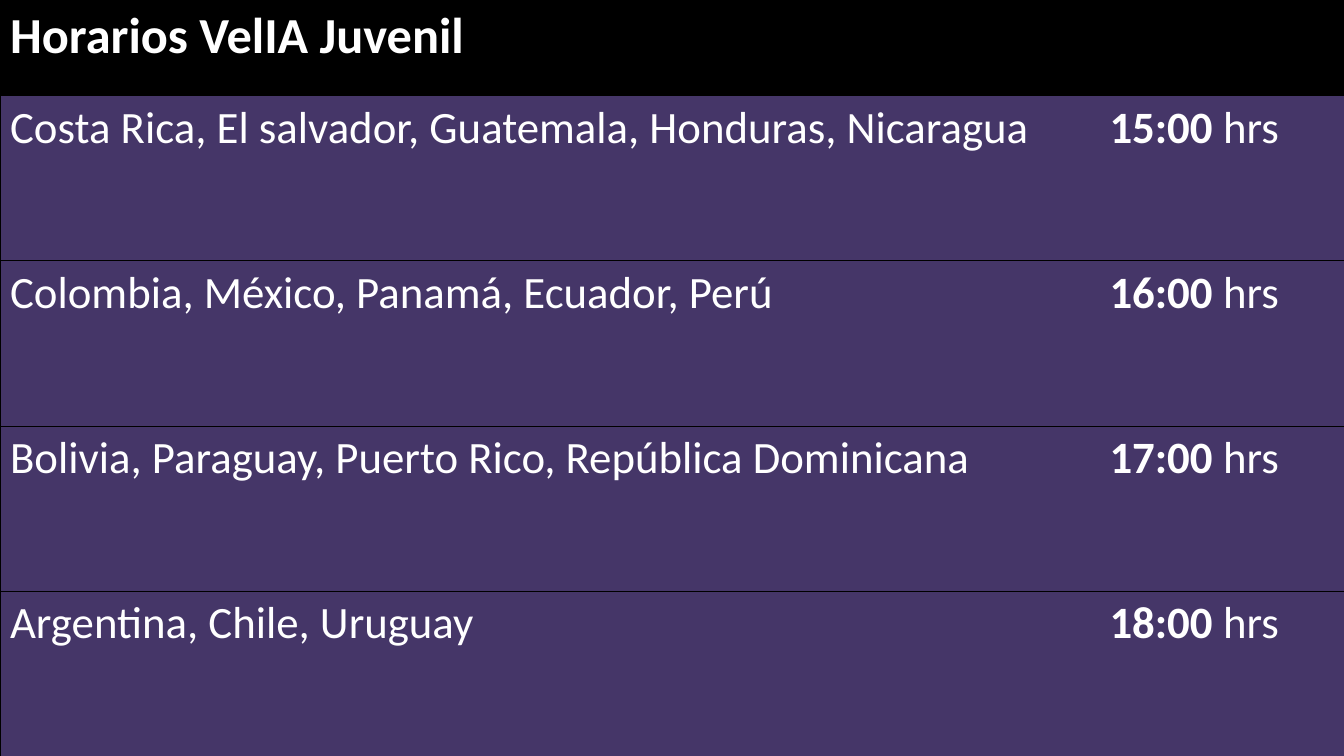
import dataclasses

import lxml.etree
import pptx
import pptx.dml.color
import pptx.enum.text
import pptx.oxml.ns
import pptx.util

Inches = pptx.util.Inches


@dataclasses.dataclass(frozen=True)
class Theme:
    font: str = "Calibri"
    heading_size: int = 36
    body_size: int = 32
    text: str = "FFFFFF"
    header: str = "000000"
    body: str = "453668"
    border: str = "000000"
    border_width: float = 0.5


THEME = Theme()
HEADING = "Horarios VelIA Juvenil"
SCHEDULE = [
    ("Costa Rica, El salvador, Guatemala, Honduras, Nicaragua", "15:00"),
    ("Colombia, México, Panamá, Ecuador, Perú", "16:00"),
    ("Bolivia, Paraguay, Puerto Rico, República Dominicana", "17:00"),
    ("Argentina, Chile, Uruguay", "18:00"),
]


def rgb(value):
    return pptx.dml.color.RGBColor.from_string(value)


def paint(fill, color):
    fill.solid()
    fill.fore_color.rgb = rgb(color)


def set_borders(cell, visible_sides):
    qn = pptx.oxml.ns.qn
    properties = cell._tc.get_or_add_tcPr()
    for position, side in enumerate("LRTB"):
        border = lxml.etree.Element(qn(f"a:ln{side}"))
        if side in visible_sides:
            border.set("w", str(pptx.util.Pt(THEME.border_width)))
            fill = lxml.etree.SubElement(border, qn("a:solidFill"))
            lxml.etree.SubElement(fill, qn("a:srgbClr"), val=THEME.border)
        else:
            border.set("w", "0")
            lxml.etree.SubElement(border, qn("a:noFill"))
        properties.insert(position, border)


def style_cell(cell, color, outer_side):
    paint(cell.fill, color)
    set_borders(cell, outer_side + "TB")


def style_text(paragraph, size, bold=None):
    paragraph.font.name = THEME.font
    paragraph.font.size = pptx.util.Pt(size)
    paragraph.font.color.rgb = rgb(THEME.text)
    paragraph.font.bold = bold


def fill_header(countries_cell, time_cell):
    style_cell(countries_cell, THEME.header, "L")
    style_cell(time_cell, THEME.header, "R")
    countries_cell.text = HEADING
    style_text(countries_cell.text_frame.paragraphs[0], THEME.heading_size, True)


def fill_schedule_row(countries_cell, time_cell, countries, time):
    style_cell(countries_cell, THEME.body, "L")
    style_cell(time_cell, THEME.body, "R")
    countries_cell.text = countries
    style_text(countries_cell.text_frame.paragraphs[0], THEME.body_size, False)
    time_line = time_cell.text_frame.paragraphs[0]
    time_line.alignment = pptx.enum.text.PP_ALIGN.CENTER
    style_text(time_line, THEME.body_size)
    for wording, bold in ((f"{time} ", True), ("hrs", False)):
        run = time_line.add_run()
        run.text = wording
        run.font.bold = bold


def add_schedule(slide, left, top, width, height):
    header_height = Inches(0.95)
    time_width = Inches(2.97)
    schedule = slide.shapes.add_table(
        len(SCHEDULE) + 1, 2, left, top, width, height
    ).table
    schedule.first_row = False
    schedule.horz_banding = False
    schedule.columns[0].width = width - time_width
    schedule.columns[1].width = time_width
    schedule.rows[0].height = header_height
    fill_header(schedule.cell(0, 0), schedule.cell(0, 1))
    for index, (countries, time) in enumerate(SCHEDULE, start=1):
        schedule.rows[index].height = (height - header_height) // len(SCHEDULE)
        fill_schedule_row(
            schedule.cell(index, 0), schedule.cell(index, 1), countries, time
        )


def main():
    presentation = pptx.Presentation()
    presentation.slide_width = Inches(13.33)
    presentation.slide_height = Inches(7.5)
    slide = presentation.slides.add_slide(presentation.slide_layouts[6])
    paint(slide.background.fill, THEME.body)
    add_schedule(slide, 0, 0, presentation.slide_width, presentation.slide_height)
    presentation.save("out.pptx")


if __name__ == "__main__":
    main()
